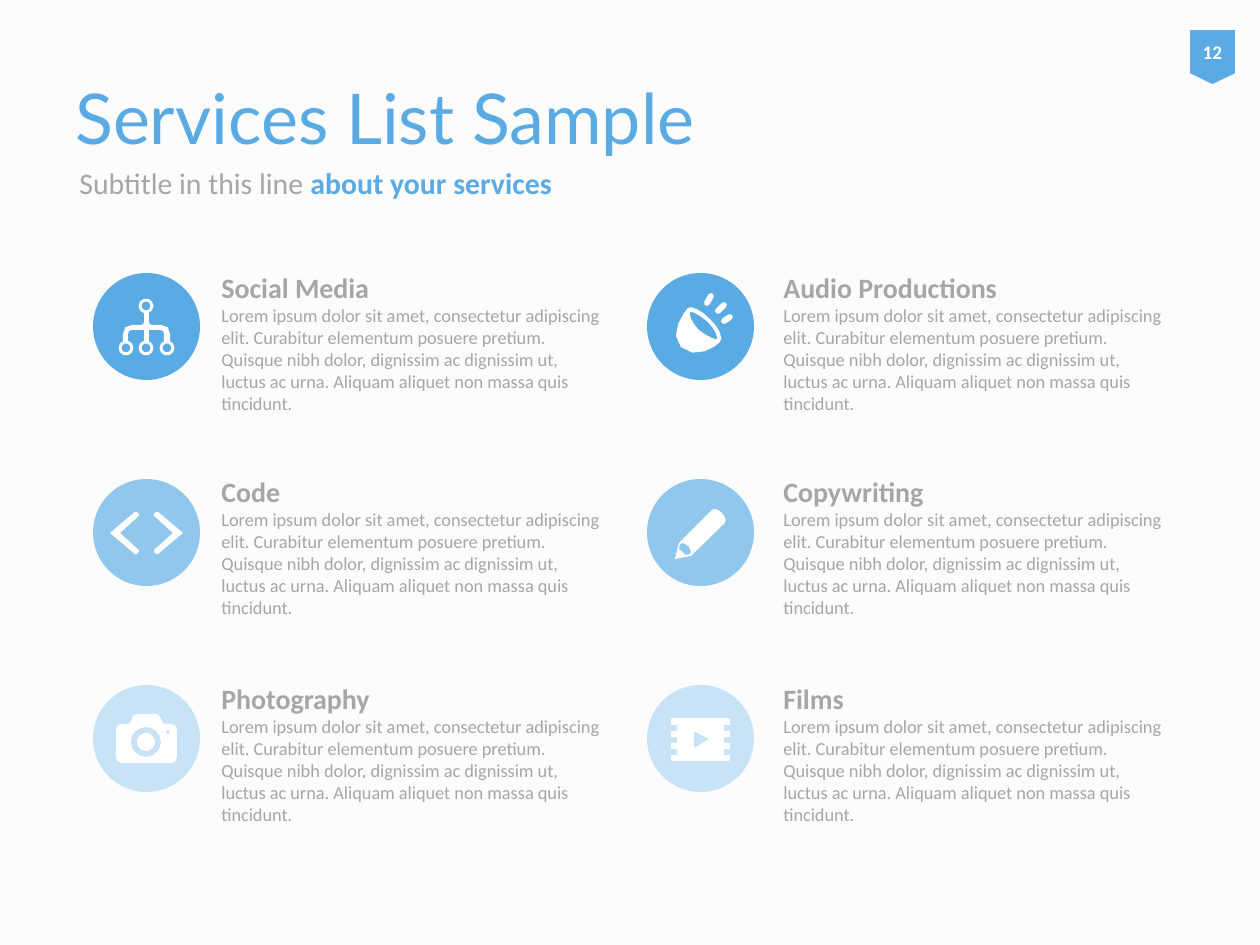
import math

from pptx import Presentation
from pptx.dml.color import RGBColor
from pptx.enum.shapes import MSO_SHAPE
from pptx.enum.text import MSO_ANCHOR, PP_ALIGN
from pptx.util import Pt

OVAL = MSO_SHAPE.OVAL
PAGE_TAG = MSO_SHAPE.FLOWCHART_OFFPAGE_CONNECTOR
TOP, MIDDLE = MSO_ANCHOR.TOP, MSO_ANCHOR.MIDDLE
LEFT, CENTER = PP_ALIGN.LEFT, PP_ALIGN.CENTER
EMU_PER_PX = 914400 / 126
DISC = 107
COLORS = {
    "background": "FCFCFC", "accent": "5AAAE4", "medium": "91C6ED",
    "pale": "C8E3F6", "text": "A6A6A6", "white": "FFFFFF",
}
BODY = (
    "Lorem ipsum dolor sit amet, consectetur adipiscing elit. Curabitur elementum "
    "posuere pretium. Quisque nibh dolor, dignissim ac dignissim ut, luctus ac urna. "
    "Aliquam aliquet non massa quis tincidunt."
)


def px(value):
    """Turn pixels into EMU."""
    return round(value * EMU_PER_PX)


def color(name):
    """Look up a named colour."""
    return RGBColor.from_string(COLORS[name])


def paint(shape, fill):
    """Give a shape a flat fill without line or shadow."""
    shape.shadow.inherit = False
    shape.fill.solid()
    shape.fill.fore_color.rgb = color(fill)
    shape.line.fill.background()


def circle(x, y, radius, count=10):
    """Outline a circle with evenly spaced points."""
    angles = [math.tau * step / count for step in range(count)]
    return [(x + radius * math.cos(a), y + radius * math.sin(a)) for a in angles]


def capsule(x1, y1, x2, y2, radius):
    """Outline a thick stroke with round ends."""
    angle = math.atan2(y2 - y1, x2 - x1)
    outline = []
    for x, y, first in ((x2, y2, -90), (x1, y1, 90)):
        for step in range(4):
            a = angle + math.radians(first + 60 * step)
            outline.append((x + radius * math.cos(a), y + radius * math.sin(a)))
    return outline


def bezier(*points):
    """Sample a closed chain of cubic curves."""
    outline = []
    for index in range(0, len(points) - 1, 3):
        curve = points[index:index + 4]
        for t in (0.25, 0.5, 0.75, 1):
            weights = ((1 - t) ** 3, 3 * t * (1 - t) ** 2, 3 * t * t * (1 - t), t ** 3)
            outline.append(tuple(
                sum(w * p[axis] for w, p in zip(weights, curve)) for axis in (0, 1)))
    return outline


def rounded(*corners):
    """Outline a polygon of (x, y) or (x, y, radius) corners."""
    outline = []
    for index, (x, y, *radius) in enumerate(corners):
        if not radius:
            outline.append((x, y))
            continue
        ends = []
        for x2, y2, *_ in (corners[index - 1], corners[(index + 1) % len(corners)]):
            share = radius[0] / math.dist((x, y), (x2, y2))
            ends.append((x + (x2 - x) * share, y + (y2 - y) * share))
        (ax, ay), (bx, by) = ends
        middle = ((ax + 2 * x + bx) / 4, (ay + 2 * y + by) / 4)
        outline += [ends[0], middle, ends[1]]
    return outline


def mirror(points):
    """Reflect an outline across the middle of the disc."""
    return [(DISC - x, *rest) for x, *rest in reversed(points)]


def network_icon():
    """Outline a tree of four nodes."""
    nodes = [(53, 33), (33, 75), (53, 75), (74, 75)]
    tree = rounded(
        (30, 68), (30, 52, 9), (51, 52, 3), (51, 40), (56, 40), (56, 52, 3),
        (77, 52, 9), (77, 68), (71, 68), (71, 57, 4), (56, 57), (56, 68),
        (51, 68), (51, 57), (35, 57, 4), (35, 68))
    return [tree] + [circle(x, y, radius) for x, y in nodes for radius in (7.5, 4.5)]


def code_icon():
    """Outline two angle brackets."""
    bracket = rounded((17, 54), (43, 32, 2), (47, 36, 2), (27, 54), (47, 72, 2), (43, 76, 2))
    return [bracket, mirror(bracket)]


def camera_icon():
    """Outline a camera with lens and flash."""
    body = rounded(
        (23, 39, 6), (37, 39, 3), (41, 29, 3), (66, 29, 3),
        (70, 39, 3), (84, 39, 6), (84, 78, 6), (23, 78, 6))
    return [body, circle(53, 57, 15, 16), circle(53, 57, 9, 16), circle(75, 47, 2, 6)]


def audio_icon():
    """Outline a horn with three rays."""
    horn = bezier(
        (41, 35), (37, 39), (21, 61), (34, 74), (48, 88), (70, 73), (73, 69),
        (77, 66), (72, 54), (63, 46), (55, 37), (43, 32), (41, 35))
    rim = bezier(
        (70, 66), (69, 67), (61, 64), (52, 57), (44, 49), (42, 41), (43, 39),
        (44, 38), (52, 41), (61, 49), (69, 57), (71, 65), (70, 66))
    rays = [(71, 38, 77, 32), (60, 30, 64, 23), (77, 48, 83, 44)]
    return [horn, rim] + [capsule(*ray, 3) for ray in rays]


def pencil_icon():
    """Outline a pencil with a cut-out collar."""
    body = rounded((32, 64), (67, 29, 3), (75, 33, 4), (80, 42, 4), (44, 77), (28, 80))
    collar = rounded(
        (43, 75), (38, 76), (36, 73), (32, 70), (33, 65), (36, 64), (42, 67, 3), (44, 73))
    return [body, collar]


def film_icon():
    """Outline a film strip with a play sign."""
    edge = [(83, 33, 2)]
    for y in (40, 52, 64):
        edge += [(83, y), (77, y), (77, y + 6), (83, y + 6)]
    edge.append((83, 76, 2))
    return [rounded(*edge, *mirror(edge)), [(47, 46), (62, 54), (47, 63)]]


def add_icon(slide, left, top, fill, outlines):
    """Place a disc with a white icon inside it."""
    group = slide.shapes.add_group_shape()
    paint(group.shapes.add_shape(OVAL, px(left), px(top), px(DISC), px(DISC)), fill)
    builder = None
    for outline in outlines:
        start, *others = [(px(left + x), px(top + y)) for x, y in outline]
        if builder is None:
            builder = group.shapes.build_freeform(*start)
        else:
            builder.move_to(*start)
        builder.add_line_segments(others, close=True)
    paint(builder.convert_to_shape(), "white")


def write(shape, runs, size, anchor=TOP, font="Calibri", ink="text", align=LEFT):
    """Fill a shape with one paragraph of (text, bold, size, colour) runs."""
    frame = shape.text_frame
    frame.word_wrap = True
    frame.vertical_anchor = anchor
    paragraph = frame.paragraphs[0]
    paragraph.alignment = align
    paragraph.font.name = font
    paragraph.font.size = Pt(size)
    paragraph.font.color.rgb = color(ink)
    for text, bold, run_size, run_ink in runs:
        if text == "\n":
            paragraph.add_line_break()
            continue
        run = paragraph.add_run()
        run.text = text
        run.font.bold = bold
        if run_size:
            run.font.size = Pt(run_size)
        if run_ink:
            run.font.color.rgb = color(run_ink)


def add_text(slide, box, runs, size, **style):
    """Place a text box."""
    write(slide.shapes.add_textbox(*map(px, box)), runs, size, **style)


def add_header(slide, left, top):
    """Place title, subtitle and page tag."""
    add_text(slide, (left, top, 1134, 98), [("Services List Sample", False, None, None)],
             40, anchor=MIDDLE, font="Lato", ink="accent")
    add_text(slide, (left + 4, top + 81, 1134, 67),
             [("Subtitle in this line ", False, None, None),
              ("about your services", True, None, "accent")], 17, anchor=MIDDLE)
    tag = slide.shapes.add_shape(PAGE_TAG, *map(px, (left + 1127, top - 38, 45, 54)))
    paint(tag, "accent")
    tag.text_frame.margin_left = tag.text_frame.margin_right = 0
    write(tag, [("12", True, None, None)], 11, anchor=MIDDLE, ink="white", align=CENTER)


def add_service(slide, left, top, text_left, text_top, fill, name, icon):
    """Place one service: its icon, heading and description."""
    add_icon(slide, left, top, fill, icon())
    runs = [(name, True, 16, None), ("\n", False, None, None), (BODY, False, None, None)]
    add_text(slide, (left + text_left, top + text_top, 407, 164), runs, 10.5)


def main():
    """Build the services slide."""
    presentation = Presentation()
    presentation.slide_width, presentation.slide_height = px(1260), px(945)
    slide = presentation.slides.add_slide(presentation.slide_layouts[6])
    slide.background.fill.solid()
    slide.background.fill.fore_color.rgb = color("background")
    add_header(slide, 63, 68)
    columns = [(93, 116), (647, 124)]
    rows = [
        (273, -9, "accent", ("Social Media", network_icon), ("Audio Productions", audio_icon)),
        (479, -11, "medium", ("Code", code_icon), ("Copywriting", pencil_icon)),
        (685, -10, "pale", ("Photography", camera_icon), ("Films", film_icon)),
    ]
    for top, text_top, fill, *services in rows:
        for (left, text_left), (name, icon) in zip(columns, services):
            add_service(slide, left, top, text_left, text_top, fill, name, icon)
    presentation.save("out.pptx")


if __name__ == "__main__":
    main()
